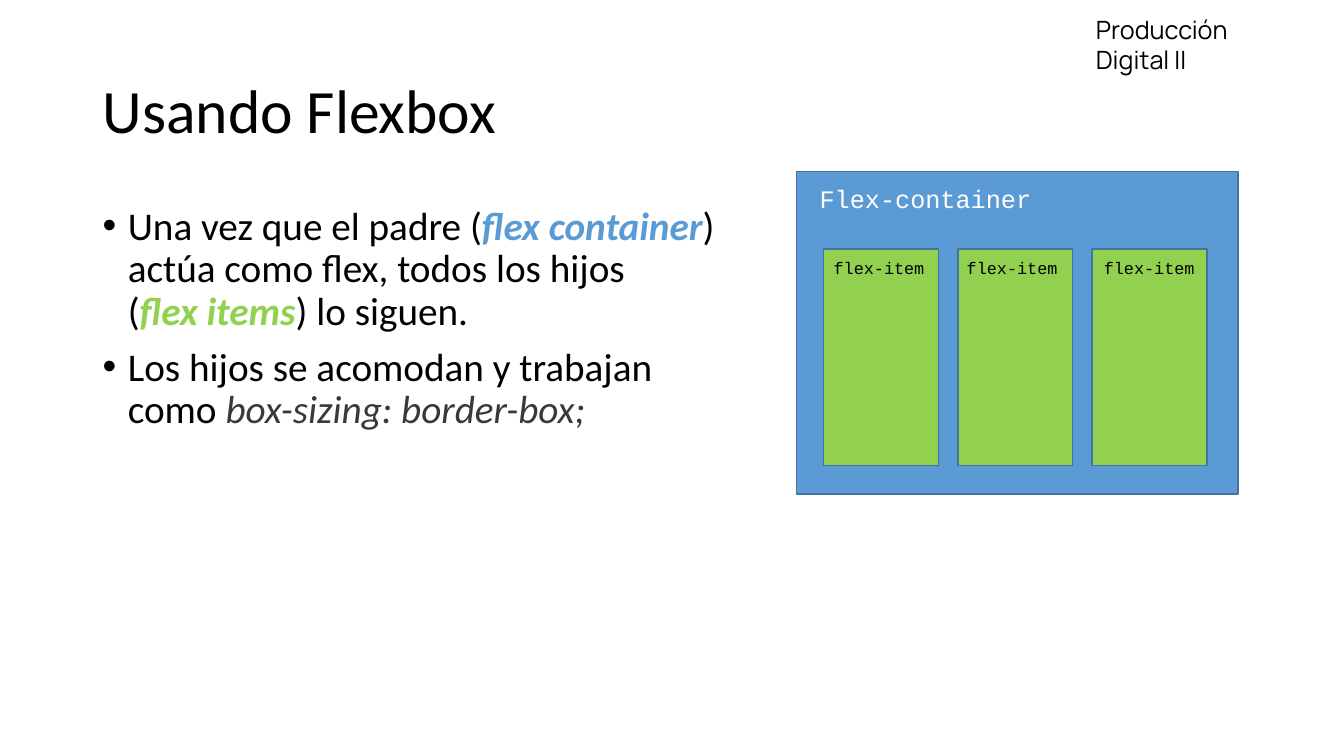
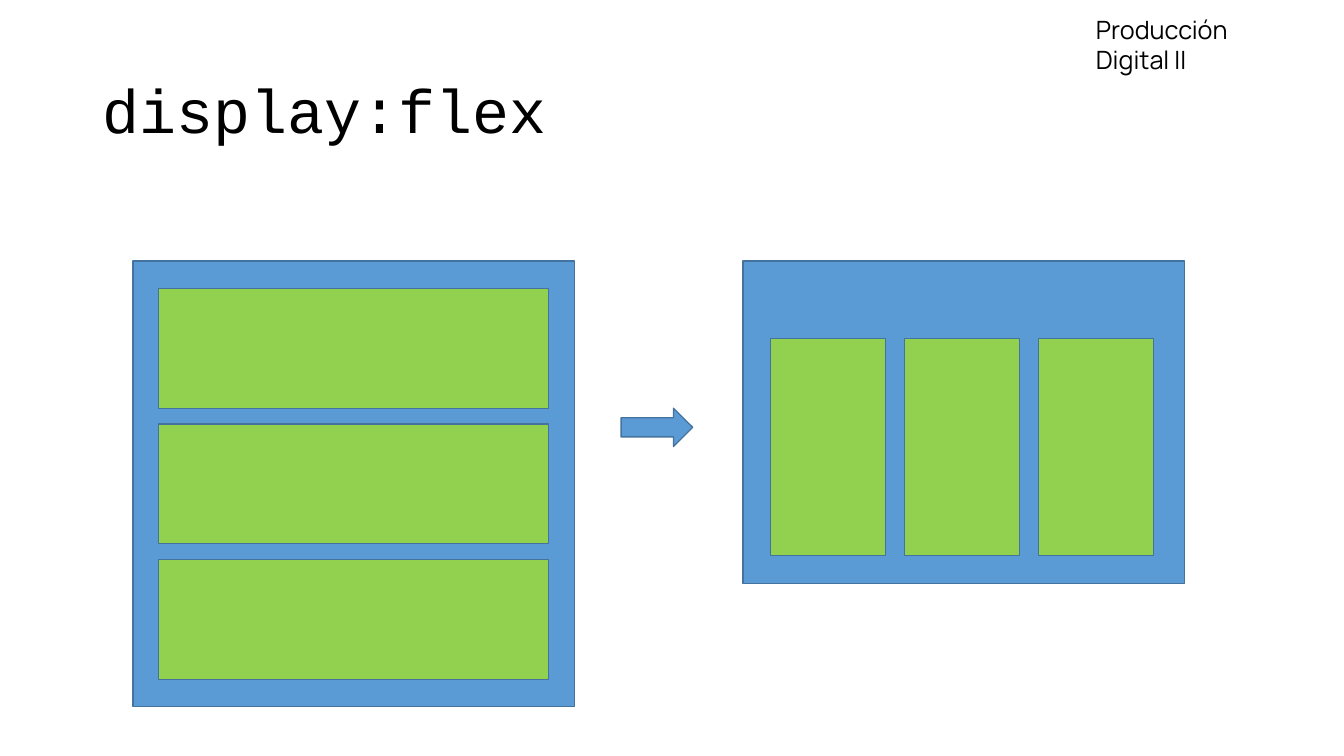
from dataclasses import dataclass

from lxml.etree import SubElement
from pptx import Presentation
from pptx.dml.color import RGBColor
from pptx.enum.shapes import MSO_SHAPE as Preset
from pptx.enum.text import MSO_ANCHOR as Anchor
from pptx.oxml.ns import qn
from pptx.util import Inches, Pt


@dataclass(frozen=True)
class Theme:
    black: str = "000000"
    white: str = "FFFFFF"
    gray: str = "3B3838"
    container: str = "5B9BD5"
    item: str = "92D050"
    outline: str = "43739E"
    sans: str = "Calibri"
    mono: str = "Courier New"
    header: str = "Manrope"
    title_size: int = 44
    body_size: int = 28
    label_size: int = 18
    item_size: int = 12


theme = Theme()


def add_text(slide, box, paragraphs, *, size, font=theme.sans, color=theme.black,
             anchor=Anchor.TOP, line_spacing=1.0, space_before=0, bullet=False):
    """Each paragraph is a list of (text, format) runs; "\\n" is a line break."""
    frame = slide.shapes.add_textbox(*map(Inches, box)).text_frame
    frame.word_wrap = True
    frame.vertical_anchor = anchor
    for index, runs in enumerate(paragraphs):
        paragraph = frame.add_paragraph() if index else frame.paragraphs[0]
        paragraph.line_spacing = line_spacing
        paragraph.space_before = Pt(space_before)
        if bullet:
            properties = paragraph._p.get_or_add_pPr()
            properties.set("marL", str(Inches(0.25)))
            properties.set("indent", str(-Inches(0.25)))
            SubElement(properties, qn("a:buFont")).set("typeface", "Arial")
            SubElement(properties, qn("a:buChar")).set("char", "•")
        for text, style in runs:
            if text == "\n":
                paragraph.add_line_break()
                continue
            run = paragraph.add_run()
            run.text = text
            run.font.name = font
            run.font.size = Pt(size)
            run.font.bold = style.get("bold", False)
            run.font.italic = style.get("italic", False)
            run.font.color.rgb = RGBColor.from_string(style.get("color", color))


def add_block(slide, box, fill, preset=Preset.RECTANGLE):
    shape = slide.shapes.add_shape(preset, *map(Inches, box))
    shape.shadow.inherit = False
    shape.fill.solid()
    shape.fill.fore_color.rgb = RGBColor.from_string(fill)
    shape.line.color.rgb = RGBColor.from_string(theme.outline)
    shape.line.width = Pt(1)


presentation = Presentation()
presentation.slide_width = Inches(13.33)
presentation.slide_height = Inches(7.5)
blank_layout = presentation.slide_layouts[6]

# Title, course header and a flex row on every slide
container_width = 4.38
item_width, item_step = 1.14, 1.33
slides = []
for title, title_font, row_left, row_top in [
    ("Usando Flexbox", theme.sans, 7.9, 1.7),
    ("display:flex", theme.mono, 7.37, 2.59),
]:
    slide = presentation.slides.add_slide(blank_layout)
    slides.append(slide)
    add_text(slide, (0.92, 0.4, 11.5, 1.45), [[(title, {})]], size=theme.title_size,
             font=title_font, anchor=Anchor.MIDDLE, line_spacing=0.9)
    add_text(slide, (10.77, 0.09, 1.81, 0.71), [[("Producción Digital II", {})]],
             size=theme.label_size, font=theme.header)
    add_block(slide, (row_left, row_top, container_width, 3.2), theme.container)
    for column in range(3):
        item_left = row_left + 0.27 + column * item_step
        add_block(slide, (item_left, row_top + 0.77, item_width, 2.15), theme.item)

usage_slide, display_slide = slides

# Slide 1: explanation and labels of the flex row
container_style = {"color": theme.container, "bold": True, "italic": True}
item_style = {"color": theme.item, "bold": True, "italic": True}
code_style = {"color": theme.gray, "italic": True}
add_text(usage_slide, (0.92, 2, 6.4, 4.76), [
    [("Una vez que el padre (", {}), ("flex container", container_style),
     (") actúa como flex, todos los hijos", {}), ("\n", {}), ("(", {}),
     ("flex items", item_style), (") lo siguen.", {})],
    [("Los hijos se acomodan y trabajan como ", {}),
     ("box-sizing: border-box;", code_style)],
], size=theme.body_size, line_spacing=0.9, space_before=10, bullet=True)
add_text(usage_slide, (8.03, 1.77, 2.56, 0.4), [[("Flex-container", {})]],
         size=theme.label_size, font=theme.mono, color=theme.white)
for label_left in (8.17, 9.49, 10.85):
    add_text(usage_slide, (label_left, 2.51, item_width, 0.3), [[("flex-item", {})]],
             size=theme.item_size, font=theme.mono)

# Slide 2: stacked blocks turn into the flex row
add_block(display_slide, (1.32, 2.59, container_width, 4.42), theme.container)
for row in range(3):
    add_block(display_slide, (1.57, 2.86 + row * 1.345, 3.87, 1.19), theme.item)
add_block(display_slide, (6.16, 4.05, 0.71, 0.38), theme.container, Preset.RIGHT_ARROW)

presentation.save("out.pptx")
